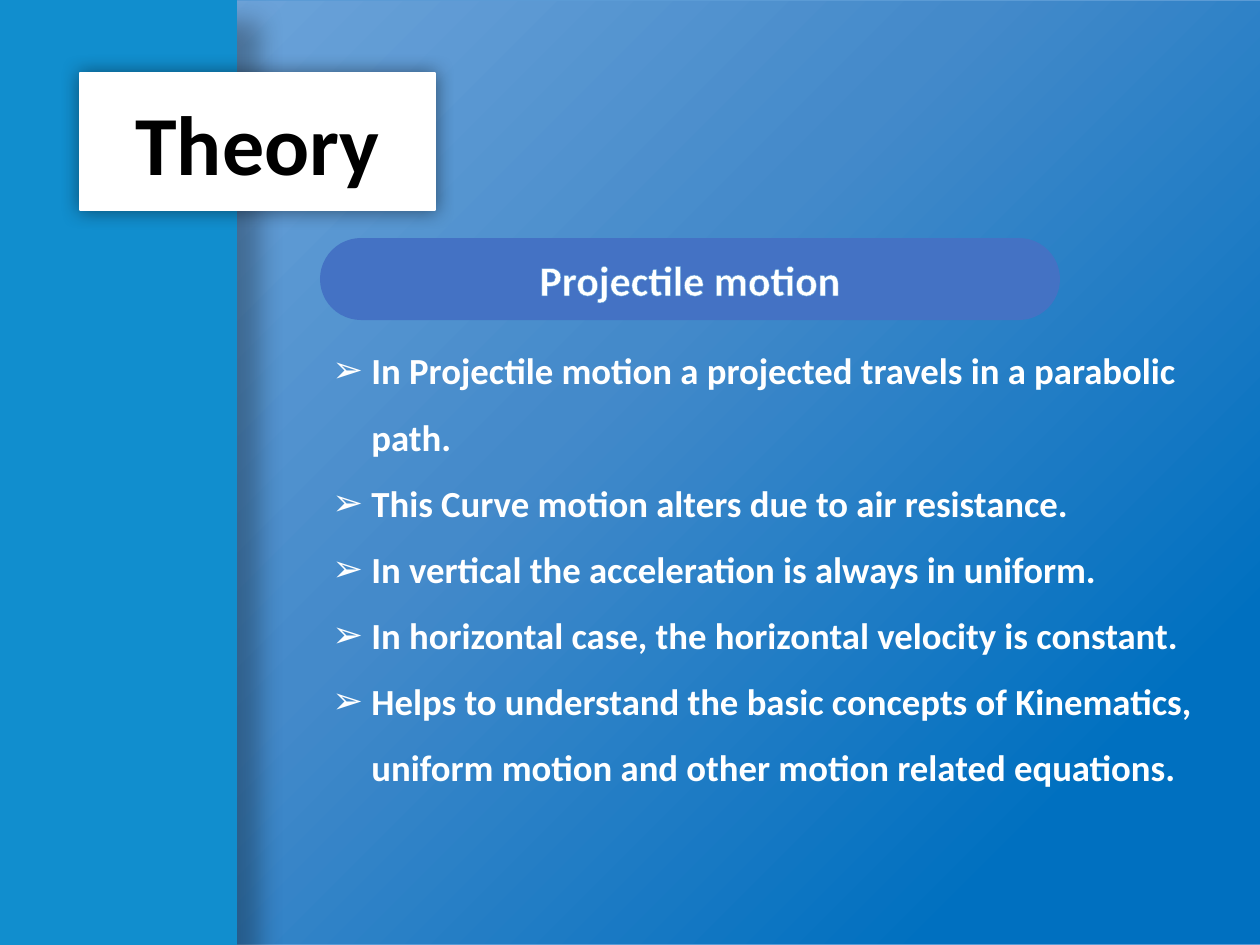
from lxml import etree
from pptx import Presentation
from pptx.dml.color import RGBColor
from pptx.enum import shapes, text
from pptx.oxml import parse_xml
from pptx.oxml.ns import nsdecls, qn
from pptx.util import Pt

TITLE = "Theory"
HEAD = "Projectile motion"
POINTS = [
    "In Projectile motion a projected travels in a parabolic path.",
    "This Curve motion alters due to air resistance.",
    "In vertical the acceleration is always in uniform.",
    "In horizontal case, the horizontal velocity is constant.",
    "Helps to understand the basic concepts of Kinematics, "
    "uniform motion and other motion related equations.",
]

WHITE = RGBColor(0xFF, 0xFF, 0xFF)
BLACK = RGBColor(0, 0, 0)
SKY = RGBColor(0x11, 0x8E, 0xCE)
PILL = RGBColor(0x44, 0x72, 0xC4)
EDGE = RGBColor(0x5B, 0x9B, 0xD5)
STOPS = [
    (0, RGBColor(0x00, 0x70, 0xC0)),
    (16, RGBColor(0x00, 0x70, 0xC0)),
    (59, RGBColor(0x44, 0x8A, 0xCA)),
    (100, RGBColor(0x71, 0xA6, 0xDB)),
]

WIDE, HIGH = 1260, 945
SCALE = 914400 / 126
KINDS = shapes.MSO_SHAPE


def px(n):
    return round(n * SCALE)


def place(shape, box):
    shape.left, shape.top, shape.width, shape.height = map(px, box)


def draw(slide, kind, box, color=None):
    shape = slide.shapes.add_shape(kind, *map(px, box))
    shape.shadow.inherit = False
    shape.line.fill.background()
    if color is not None:
        shape.fill.solid()
        shape.fill.fore_color.rgb = color
    return shape


def glow(shape, alpha, blur, dist, angle):
    """Outer black shadow; alpha in percent, lengths in points."""
    shape.shadow.inherit = False
    effects = shape._element.spPr.find(qn("a:effectLst"))
    effects.append(parse_xml(
        f'<a:outerShdw {nsdecls("a")} blurRad="{Pt(blur)}" dist="{Pt(dist)}" '
        f'dir="{angle * 60000}" algn="ctr" rotWithShape="0">'
        f'<a:srgbClr val="{BLACK}"><a:alpha val="{alpha * 1000}"/></a:srgbClr>'
        '</a:outerShdw>'))


def shade(shape):
    """Radial gradient centred on the lower right corner."""
    stops = "".join(f'<a:gs pos="{at * 1000}"><a:srgbClr val="{color}"/></a:gs>'
                    for at, color in STOPS)
    props = shape._element.spPr
    props.find(qn("a:prstGeom")).addnext(parse_xml(
        f'<a:gradFill {nsdecls("a")} rotWithShape="1"><a:gsLst>{stops}</a:gsLst>'
        '<a:path path="circle"><a:fillToRect l="100000" t="100000"/></a:path>'
        '</a:gradFill>'))


def style(font, size, color):
    look = {"name": "Calibri", "size": Pt(size), "bold": True}
    for key, value in look.items():
        setattr(font, key, value)
    font.color.rgb = color


def label(shape, words, size, color, rim, width):
    """Centred text with a thin outline."""
    frame = shape.text_frame
    frame.text = words
    frame.word_wrap = True
    frame.auto_size = text.MSO_AUTO_SIZE.NONE
    frame.vertical_anchor = text.MSO_ANCHOR.MIDDLE
    para = frame.paragraphs[0]
    para.alignment = text.PP_ALIGN.CENTER
    run = para.runs[0]
    style(run.font, size, color)
    run._r.get_or_add_rPr().insert(0, parse_xml(
        f'<a:ln {nsdecls("a")} w="{Pt(width)}"><a:solidFill>'
        f'<a:srgbClr val="{rim}"/></a:solidFill></a:ln>'))


def bullet(para):
    props = para._p.get_or_add_pPr()
    props.set("marL", str(px(39)))
    props.set("indent", str(-px(39)))
    etree.SubElement(props, qn("a:buFont")).set("typeface", "Arial")
    etree.SubElement(props, qn("a:buChar")).set("char", "➢")


def main():
    deck = Presentation()
    deck.slide_width, deck.slide_height = px(WIDE), px(HIGH)
    slide = deck.slides.add_slide(deck.slide_layouts[5])

    field = draw(slide, KINDS.RECTANGLE, (134, 0, WIDE - 134, HIGH))
    shade(field)
    field.line.color.rgb = EDGE
    field.line.width = Pt(0.5)

    side = draw(slide, KINDS.RECTANGLE, (0, 0, 237, HIGH), SKY)
    glow(side, 30, 15, 18, 45)

    title = slide.shapes.title
    side._element.addnext(title._element)
    place(title, (80, 73, 355, 137))
    title._element.spPr.append(parse_xml(
        f'<a:prstGeom {nsdecls("a")} prst="roundRect"><a:avLst>'
        '<a:gd name="adj" fmla="val 50000"/></a:avLst></a:prstGeom>'))
    title.fill.solid()
    title.fill.fore_color.rgb = WHITE
    title.line.color.rgb = WHITE
    title.line.width = Pt(1)
    glow(title, 45, 11, 0, 0)
    label(title, TITLE, 48, BLACK, WHITE, 0.75)

    head = draw(slide, KINDS.ROUNDED_RECTANGLE, (320, 238, 740, 82), PILL)
    head.adjustments[0] = 0.5
    label(head, HEAD, 24, WHITE, EDGE, 0.8)

    body = slide.shapes.add_textbox(*map(px, (320, 320, 898, 474)))
    frame = body.text_frame
    frame.word_wrap = True
    frame.auto_size = text.MSO_AUTO_SIZE.SHAPE_TO_FIT_TEXT
    frame.text = "\n".join(POINTS)
    for para in frame.paragraphs:
        bullet(para)
        para.line_spacing = 1.5
        style(para.runs[0].font, 21, WHITE)

    deck.save("out.pptx")


if __name__ == "__main__":
    main()
